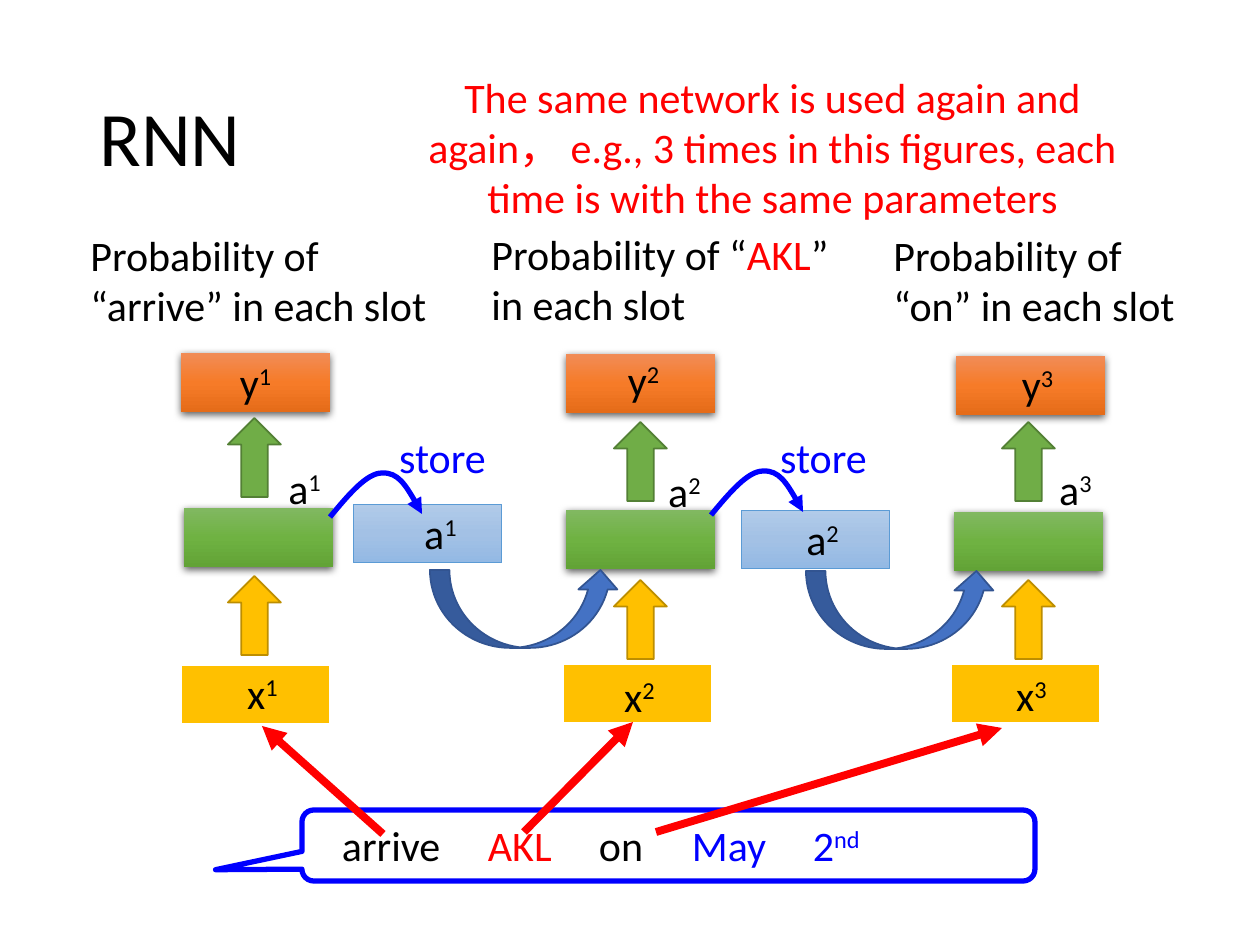
from lxml import etree
from pptx import Presentation
from pptx.dml.color import RGBColor
from pptx.enum.shapes import MSO_CONNECTOR as Link, MSO_SHAPE as Shape
from pptx.enum.text import MSO_ANCHOR as Anchor, MSO_AUTO_SIZE as AutoSize, PP_ALIGN as Align
from pptx.oxml.ns import qn
from pptx.util import Pt
from copy import deepcopy

EMU_PER_PX = 914400 / 126
BOX = (149, 59)
ARROW = (53, 79)
BLACK, RED, BLUE = "000000", "FF0000", "0000FF"
GREENS = ("81B861", "6FB242", "62A336")
ORANGES = ("F18C57", "F67B28", "E56C19")
PALE_BLUES = ("B1CBE9", "A3C1E5", "93B9E4")


def px(count):
    return round(count * EMU_PER_PX)


def color(hex_code):
    return RGBColor.from_string(hex_code)


def add_sub(parent, tag, **attributes):
    return etree.SubElement(parent, qn(tag), {k: str(v) for k, v in attributes.items()})


def set_line(line, hex_code, width):
    line.color.rgb = color(hex_code)
    line.width = Pt(width)


def add_arrowhead(line_shape):
    add_sub(line_shape._element.spPr.find(qn("a:ln")), "a:tailEnd", type="triangle")


def add_box(slide, kind, left, top, size, fill=None, line=None):
    """Add a shape; fill is a hex string, three gradient colours or None, line is (hex, points)."""
    box = slide.shapes.add_shape(kind, px(left), px(top), px(size[0]), px(size[1]))
    box.shadow.inherit = False
    if fill is None:
        box.fill.background()
    elif isinstance(fill, str):
        box.fill.solid()
        box.fill.fore_color.rgb = color(fill)
    else:
        box.fill.gradient()
        box.fill.gradient_angle = 270
        stops = box._element.spPr.find(qn("a:gradFill")).find(qn("a:gsLst"))
        stops.insert(1, deepcopy(stops[0]))
        for index, stop in enumerate(box.fill.gradient_stops):
            stop.position = index / 2
            stop.color.rgb = color(fill[index])
    if line:
        set_line(box.line, *line)
    else:
        box.line.fill.background()
    return box


def add_raised_box(slide, left, top, fill):
    box = add_box(slide, Shape.RECTANGLE, left, top, BOX, fill)
    effects = box._element.spPr.find(qn("a:effectLst"))
    shadow = add_sub(effects, "a:outerShdw", blurRad=Pt(4.5), dist=Pt(1.5),
                     dir=5400000, algn="ctr", rotWithShape=0)
    add_sub(add_sub(shadow, "a:srgbClr", val=BLACK), "a:alpha", val=63000)


def add_text(slide, left, top, width, height, runs, align=Align.LEFT, size=24):
    """Add a text box from (text, hex, raised) runs."""
    box = slide.shapes.add_textbox(px(left), px(top), px(width), px(height))
    frame = box.text_frame
    frame.word_wrap = True
    frame.auto_size = AutoSize.NONE
    para = frame.paragraphs[0]
    para.alignment = align
    for text, hex_code, raised in runs:
        span = para.add_run()
        span.text = text
        span.font.name = "Calibri"
        span.font.size = Pt(size)
        span.font.color.rgb = color(hex_code)
        if raised:
            span.font._element.set("baseline", "30000")
    return frame


def add_symbol(slide, left, top, letter, number, width=125):
    runs = [(letter, BLACK, False), (str(number), BLACK, True)]
    add_text(slide, left, top, width, 63, runs, Align.CENTER)


def add_curve(slide, left, top, controls):
    """Add an open Bezier arrow whose control points are offsets from its start."""
    builder = slide.shapes.build_freeform(px(left), px(top))
    builder.add_line_segments([(px(left + x), px(top + y)) for x, y in controls], close=False)
    curve = builder.convert_to_shape()
    curve.shadow.inherit = False
    curve.fill.background()
    set_line(curve.line, BLUE, 3)
    add_arrowhead(curve)
    outline = next(curve._element.iter(qn("a:path")))
    segments = outline.findall(qn("a:lnTo"))
    for start in range(0, len(segments), 3):
        bezier = add_sub(outline, "a:cubicBezTo")
        for segment in segments[start:start + 3]:
            bezier.append(segment[0])
            outline.remove(segment)


def draw_step(slide, left, top, number, offsets):
    """Draw input, hidden layer and output of one time step."""
    (input_at, hidden_at, output_at, arrow_in, arrow_out,
     x_at, y_at, a_at) = [(left + dx, top + dy) for dx, dy in offsets]
    add_box(slide, Shape.RECTANGLE, *input_at, BOX, "FFC000", ("FFFFFF", 1.5))
    add_raised_box(slide, *hidden_at, GREENS)
    add_raised_box(slide, *output_at, ORANGES)
    add_box(slide, Shape.UP_ARROW, *arrow_in, ARROW, "FFC000", ("BD8E00", 1))
    add_box(slide, Shape.UP_ARROW, *arrow_out, ARROW, "70AD47", ("538035", 1))
    add_symbol(slide, *x_at, "x", number)
    add_symbol(slide, *y_at, "y", number)
    add_symbol(slide, *a_at, "a", number, 79)


def draw_memory(slide, left, top, number, offsets):
    """Draw the stored value that one step hands to the next."""
    store_at, box_at, symbol_at, arrow_at = [(left + dx, top + dy) for dx, dy in offsets]
    add_box(slide, Shape.RECTANGLE, *box_at, BOX, PALE_BLUES, ("5B9BD5", 0.5))
    add_text(slide, *store_at, 145, 63, [("store", BLUE, False)], Align.CENTER)
    add_box(slide, Shape.CURVED_UP_ARROW, *arrow_at, (190, 78), "4472C4", ("325491", 1))
    add_curve(slide, left, top, [(19, -23), (37, -44), (52, -44), (68, -45), (81, -24), (92, -3)])
    add_symbol(slide, *symbol_at, "a", number)


def draw_heading(slide, left, top):
    title = add_text(slide, left, top, 1086, 183, [("RNN", BLACK, False)], size=44)
    title.vertical_anchor = Anchor.MIDDLE
    title.paragraphs[0].line_spacing = 0.9
    remark = ("The same network is used again and again， e.g., 3 times in this figures, "
              "each time is with the same parameters")
    add_text(slide, left + 309, top + 15, 753, 165, [(remark, RED, False)], Align.CENTER)


def draw_captions(slide, left, top):
    captions = [(0, 1, 372, "arrive", BLACK), (401, 0, 372, "AKL", RED), (803, 1, 321, "on", BLACK)]
    for dx, dy, width, word, hex_code in captions:
        runs = [("Probability of “", BLACK, False), (word, hex_code, False),
                ("” in each slot", BLACK, False)]
        add_text(slide, left + dx, top + dy, width, 115, runs)


def draw_sentence(slide, left, top):
    """Draw the spoken words and the arrows that feed them to the inputs."""
    words = [("arrive\t", BLACK, False), ("AKL\t", RED, False), ("on\t", BLACK, False),
             ("May\t2", BLUE, False), ("nd", BLUE, True)]
    frame = add_text(slide, left - 36, top + 3, 770, 63, words)
    frame.margin_left = px(76)
    tabs = add_sub(frame.paragraphs[0]._p.get_or_add_pPr(), "a:tabLst")
    for position in (146, 257, 350, 471):
        add_sub(tabs, "a:tab", pos=px(position), algn="l")
    bubble = add_box(slide, Shape.ROUNDED_RECTANGULAR_CALLOUT, left, top, (733, 71), line=(BLUE, 3))
    for index, value in enumerate((-0.618, 0.341, 0.167)):
        bubble.adjustments[index] = value
    for ends in [(81, 24, -40, -84), (222, 22, 331, -88), (354, 22, 700, -82)]:
        x1, y1, x2, y2 = ends
        arrow = slide.shapes.add_connector(Link.STRAIGHT, px(left + x1), px(top + y1),
                                           px(left + x2), px(top + y2))
        set_line(arrow.line, RED, 4.5)
        add_arrowhead(arrow)
        add_sub(arrow._element.spPr, "a:effectLst")


STEPS = [
    (181, 353, [(0, 312), (3, 155), (0, 0), (47, 223), (47, 65), (19, 308), (12, -3), (84, 103)]),
    (563, 354, [(0, 310), (3, 156), (3, 0), (51, 226), (51, 68), (14, 310), (18, -6), (82, 105)]),
    (951, 356, [(0, 308), (3, 156), (5, 0), (51, 224), (51, 66), (18, 307), (24, -4), (85, 101)]),
]
MEMORIES = [
    (330, 517, [(40, -92), (23, -13), (48, -16), (100, 53)]),
    (711, 515, [(40, -90), (30, -5), (49, -8), (95, 56)]),
]


def main():
    deck = Presentation()
    deck.slide_width, deck.slide_height = px(1260), px(945)
    page = deck.slides.add_slide(deck.slide_layouts[6])
    draw_heading(page, 87, 50)
    for number, (left, top, offsets) in enumerate(STEPS, 1):
        draw_step(page, left, top, number, offsets)
    for number, (left, top, offsets) in enumerate(MEMORIES, 1):
        draw_memory(page, left, top, number, offsets)
    draw_sentence(page, 302, 810)
    draw_captions(page, 78, 222)
    deck.save("out.pptx")


if __name__ == "__main__":
    main()
